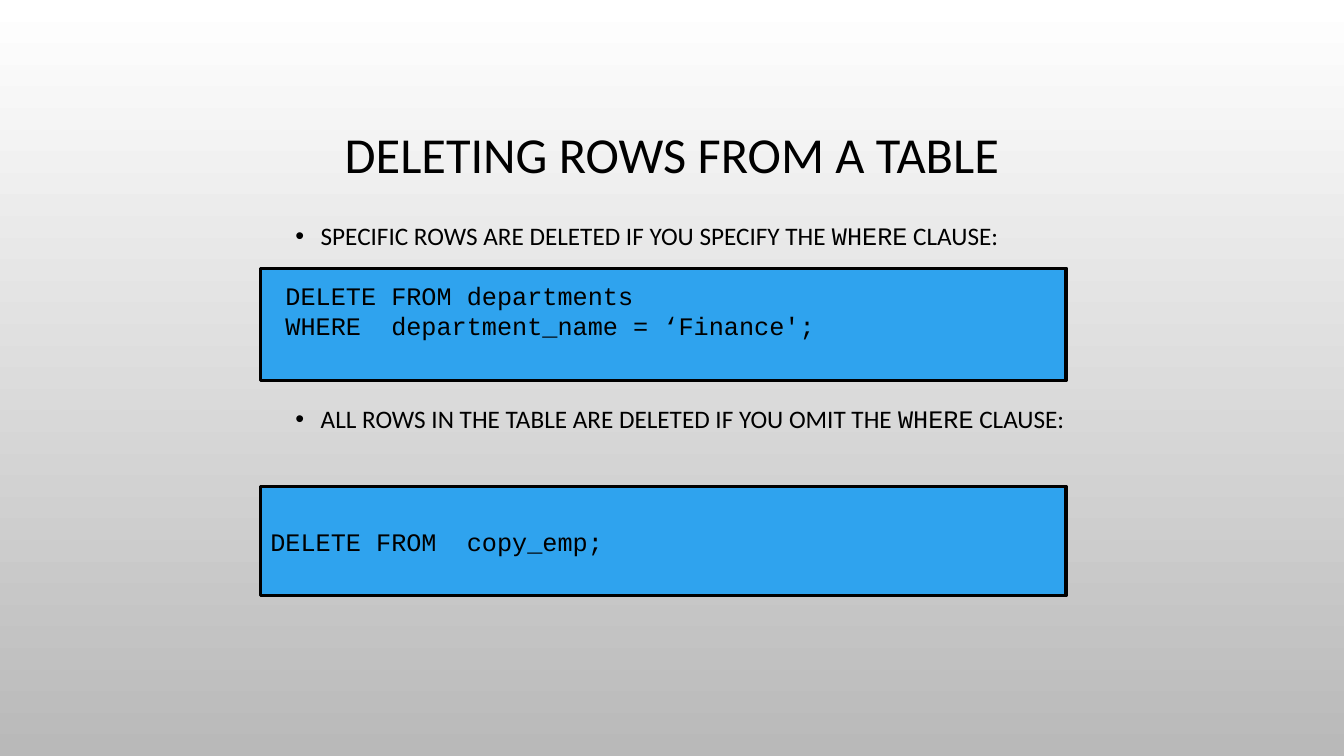
from dataclasses import dataclass

from lxml import etree
from pptx import Presentation
from pptx.dml.color import RGBColor
from pptx.enum import shapes, text
from pptx.oxml import ns
from pptx.util import Pt


@dataclass(frozen=True)
class Theme:
    ink: RGBColor = RGBColor(0, 0, 0)
    fill: RGBColor = RGBColor(0x2F, 0xA3, 0xEE)
    top: RGBColor = RGBColor(255, 255, 255)
    base: RGBColor = RGBColor(0xB9, 0xB9, 0xB9)
    sans: str = "Calibri"
    mono: str = "Courier New"
    head: int = 36
    body: int = 18


THEME = Theme()


def style(para, face, size):
    para.font.name = face
    para.font.size = Pt(size)
    para.font.color.rgb = THEME.ink


def paint(slide):
    """Shade the background from top to base."""
    fill = slide.background.fill
    fill.gradient()
    fill.gradient_angle = 270
    for stop, shade in zip(fill.gradient_stops, (THEME.top, THEME.base)):
        stop.color.rgb = shade


def add_text(slide, left, top, width, height):
    box = slide.shapes.add_textbox(Pt(left), Pt(top), Pt(width), Pt(height))
    box.text_frame.word_wrap = True
    return box.text_frame


def add_title(slide, words):
    frame = add_text(slide, 72, 49, 816, 126)
    frame.vertical_anchor = text.MSO_ANCHOR.MIDDLE
    para = frame.paragraphs[0]
    para.text = words
    para.alignment = text.PP_ALIGN.CENTER
    para.line_spacing = 0.9
    style(para, THEME.sans, THEME.head)


def add_bullet(slide, top, lead, key, tail):
    """Write one bullet with its keyword in the code face."""
    para = add_text(slide, 168, top, 623.5, 34).paragraphs[0]
    para.line_spacing = 1.2
    props = para._p.get_or_add_pPr()
    props.set("marL", str(Pt(54)))
    props.set("indent", str(-Pt(18)))
    font = etree.SubElement(props, ns.qn("a:buFont"))
    font.set("typeface", "Arial")
    mark = etree.SubElement(props, ns.qn("a:buChar"))
    mark.set("char", "•")
    style(para, THEME.sans, THEME.body)
    for part in (lead, key, tail):
        run = para.add_run()
        run.text = part
        if part == key:
            run.font.name = THEME.mono


def add_code(slide, top, height, lines, foot=3.6):
    """Draw a code panel; foot is its lower inset."""
    panel = slide.shapes.add_shape(
        shapes.MSO_SHAPE.RECTANGLE, Pt(186), Pt(top), Pt(575.5), Pt(height))
    panel.shadow.inherit = False
    panel.fill.solid()
    panel.fill.fore_color.rgb = THEME.fill
    panel.line.color.rgb = THEME.ink
    panel.line.width = Pt(2.25)
    frame = panel.text_frame
    frame.word_wrap = True
    frame.vertical_anchor = text.MSO_ANCHOR.MIDDLE
    frame.margin_bottom = Pt(foot)
    frame.text = "\n".join(lines)
    for para in frame.paragraphs:
        para.alignment = text.PP_ALIGN.LEFT
        style(para, THEME.mono, THEME.body)


def main():
    deck = Presentation()
    deck.slide_width, deck.slide_height = Pt(960), Pt(540)
    slide = deck.slides.add_slide(deck.slide_layouts[6])
    paint(slide)
    add_title(slide, "DELETING ROWS FROM A TABLE")
    add_bullet(slide, 149.8, "SPECIFIC ROWS ARE DELETED IF YOU SPECIFY THE ",
               "WHERE", " CLAUSE:")
    add_code(slide, 191.5, 80.5,
             [" DELETE FROM departments",
              " WHERE  department_name = ‘Finance';"], foot=24)
    add_bullet(slide, 280.5,
               "ALL ROWS IN THE TABLE ARE DELETED IF YOU OMIT THE ",
               "WHERE", " CLAUSE:")
    add_code(slide, 347.5, 78, ["DELETE FROM  copy_emp;"])
    deck.save("out.pptx")


if __name__ == "__main__":
    main()
